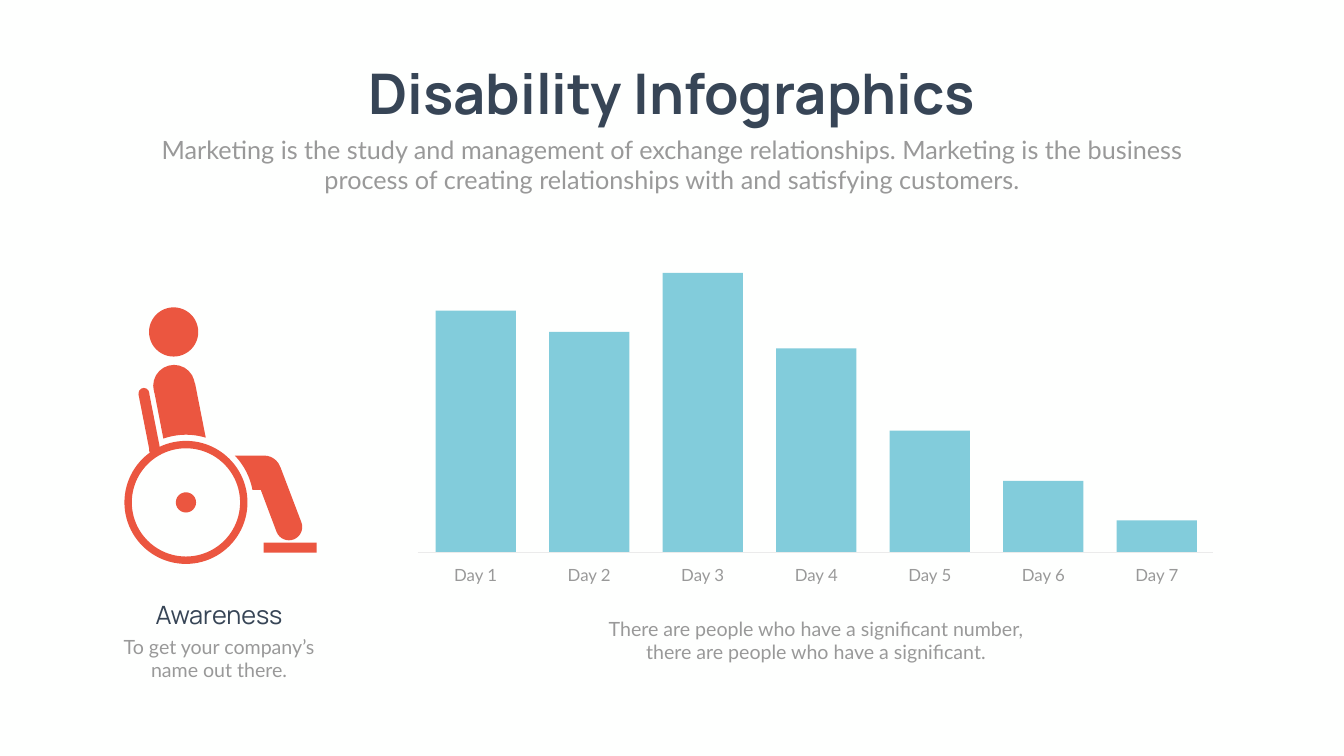
from dataclasses import dataclass
from math import cos, radians, sin

from lxml import etree
from pptx import Presentation
from pptx.dml.color import RGBColor
from pptx.enum.shapes import MSO_CONNECTOR, MSO_SHAPE
from pptx.enum.text import MSO_AUTO_SIZE, PP_ALIGN
from pptx.oxml.ns import qn
from pptx.util import Cm, Pt

RECT = MSO_SHAPE.RECTANGLE
OVAL = MSO_SHAPE.OVAL
DONUT = MSO_SHAPE.DONUT
STRAIGHT = MSO_CONNECTOR.STRAIGHT
CENTER = PP_ALIGN.CENTER
FIT_SHAPE = MSO_AUTO_SIZE.SHAPE_TO_FIT_TEXT


@dataclass(frozen=True)
class Theme:
    """Colours, fonts and type sizes of the slide."""
    back: str = "FEFFFE"
    dark: str = "374556"
    grey: str = "999999"
    red: str = "EB5640"
    blue: str = "82CCDB"
    rule: str = "EBEBEB"
    head_font: str = "Manrope"
    body_font: str = "Lato"
    title: int = 80
    lead: int = 36
    body: int = 28
    label: int = 24


THEME = Theme()
DAYS = [("Day 1", 12.19), ("Day 2", 11.12), ("Day 3", 14.1), ("Day 4", 10.29),
        ("Day 5", 6.15), ("Day 6", 3.61), ("Day 7", 1.62)]


def rgb(value):
    """Return a colour from its hex text."""
    return RGBColor.from_string(value)


def add_text(shapes, text, x, y, w, h, size=THEME.body, font=THEME.body_font,
             color=THEME.grey, bold=False, wrap=True):
    """Add a centred text box, in centimetres."""
    tf = shapes.add_textbox(Cm(x), Cm(y), Cm(w), Cm(h)).text_frame
    tf.word_wrap = wrap
    tf.auto_size = FIT_SHAPE
    p = tf.paragraphs[0]
    p.alignment = CENTER
    r = p.add_run()
    r.text = text
    r.font.size = Pt(size)
    r.font.name = font
    r.font.bold = bold
    r.font.color.rgb = rgb(color)


def paint(sp, color):
    """Give a shape a flat fill without line or shadow."""
    sp.shadow.inherit = False
    sp.fill.solid()
    sp.fill.fore_color.rgb = rgb(color)
    sp.line.fill.background()
    return sp


def add_block(shapes, kind, x, y, w, h, color):
    """Add a flat preset shape, in centimetres."""
    return paint(shapes.add_shape(kind, Cm(x), Cm(y), Cm(w), Cm(h)), color)


def arc(cx, cy, radius, start, end, steps=16):
    """Return points along a circular arc, with angles in degrees."""
    angles = [radians(start + (end - start) * i / steps) for i in range(steps + 1)]
    return [(cx + radius * cos(a), cy + radius * sin(a)) for a in angles]


def add_heading(shapes, x, y, w):
    """Add the title and the lead text."""
    add_text(shapes, "Disability Infographics", x + 9.63, y, 33.63, 3.68, size=THEME.title,
             font=THEME.head_font, color=THEME.dark, bold=True, wrap=False)
    add_text(shapes, "Marketing is the study and management of exchange relationships. "
             "Marketing is the business process of creating relationships with and "
             "satisfying customers.", x, y + 3.79, w, 3.33, size=THEME.lead)


def add_wheelchair(shapes, x, y):
    """Add the seated figure in a wheelchair as one group."""
    icon = shapes.add_group_shape().shapes
    hub_x, hub_y, wheel, gap = 3.1, 9.83, 3.1, 3.41
    circles = [(2.48, 1.24, 1.24), (2.5, 3.95, 1.05), (1.52, 7.19, 0.28),
               (0.98, 4.33, 0.27), (hub_x, hub_y, 0.51)]
    for cx, cy, radius in circles:
        add_block(icon, OVAL, x + cx - radius, y + cy - radius,
                  2 * radius, 2 * radius, THEME.red)
    rim = add_block(icon, DONUT, x + hub_x - wheel, y + hub_y - wheel,
                    2 * wheel, 2 * wheel, THEME.red)
    rim.adjustments[0] = 0.06
    add_block(icon, RECT, x + 7.01, y + 11.86, 2.67, 0.5, THEME.red)

    backrest = [(1.8, 7.14), (1.75, 7.21), (1.35, 7.29), (1.27, 7.24),
                (0.71, 4.39), (0.76, 4.32), (1.17, 4.24), (1.24, 4.29)]
    torso = arc(hub_x, hub_y, gap, -73, -109.5) + [
        (1.5, 4.24), (1.52, 4.06), (1.7, 3.94), (3.25, 3.63), (3.45, 3.68), (3.56, 3.84)]
    thigh = arc(hub_x, hub_y, gap, -43.8, -10.7) + arc(7.04, 8.33, 0.86, 90, -90)
    shin = arc(8.29, 11.07, 0.67, -22, 158) + [
        (6.63, 8.56), (6.65, 8.33), (6.78, 8.2), (7.54, 7.92), (7.75, 7.95), (7.87, 8.08)]
    for outline in (backrest, torso, thigh, shin):
        points = [(Cm(x + px), Cm(y + py)) for px, py in outline]
        builder = icon.build_freeform(*points[0])
        builder.add_line_segments(points[1:], close=True)
        paint(builder.convert_to_shape(), THEME.red)


def add_caption(shapes, x, y, w):
    """Add the caption and its short text as one group."""
    caption = shapes.add_group_shape().shapes
    add_text(caption, "To get your company’s name out there.", x, y + 1.8, w, 2.64)
    add_text(caption, "Awareness", x + 0.75, y, w - 1.5, 1.8, size=THEME.lead,
             font=THEME.head_font, color=THEME.dark)


def add_day_bars(shapes, x, y, w, h):
    """Add the bars standing on a baseline, with day labels and a note."""
    bar_w, label_w, pitch, margin = 4.04, 3.71, 5.72, 0.89
    base = y + h
    for i, (day, height) in enumerate(DAYS):
        left = x + margin + i * pitch
        add_block(shapes, RECT, left, base - height, bar_w, height, THEME.blue)
        add_text(shapes, day, left + (bar_w - label_w) / 2, base + 0.47,
                 label_w, 1.27, size=THEME.label)
    line = shapes.add_connector(STRAIGHT, Cm(x), Cm(base), Cm(x + w), Cm(base))
    line.line.color.rgb = rgb(THEME.rule)
    line.line.width = Pt(0.5)
    etree.SubElement(line.element.spPr, qn("a:effectLst"))
    add_text(shapes, "There are people who have a significant number, "
             "there are people who have a significant.", x + 9.19, base + 3.11, 21.72, 2.64)


def main():
    """Build the slide and save it."""
    prs = Presentation()
    prs.slide_width, prs.slide_height = Cm(67.72), Cm(38.1)
    s = prs.slides.add_slide(prs.slide_layouts[6])
    s.background.fill.solid()
    s.background.fill.fore_color.rgb = rgb(THEME.back)
    add_heading(s.shapes, 7.42, 2.84, 52.88)
    add_wheelchair(s.shapes, 6.27, 15.49)
    add_caption(s.shapes, 5.21, 30.07, 11.66)
    add_day_bars(s.shapes, 21.06, 13.75, 40.06, 14.1)
    prs.save("out.pptx")


if __name__ == "__main__":
    main()
